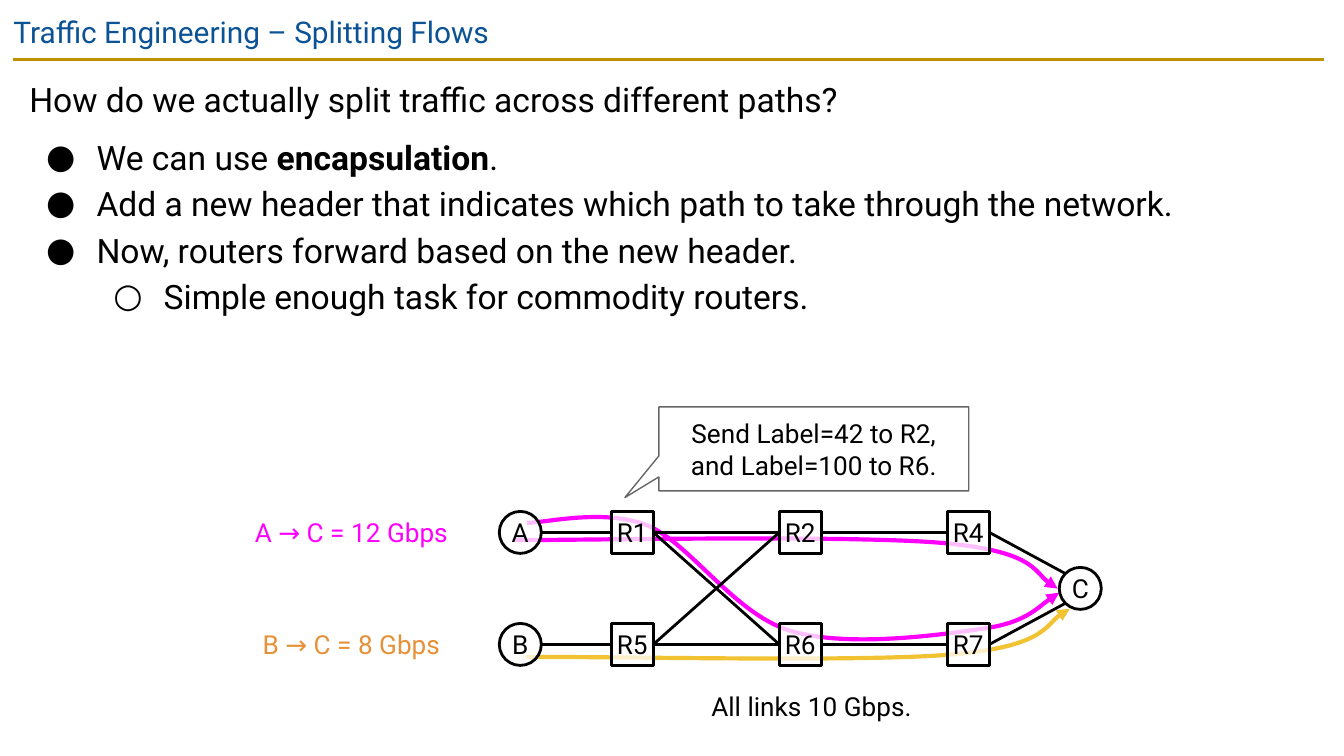
from dataclasses import dataclass

from lxml import etree
from pptx import Presentation
from pptx.dml.color import RGBColor
from pptx.enum.shapes import MSO_CONNECTOR, MSO_SHAPE
from pptx.enum.text import MSO_ANCHOR, MSO_AUTO_SIZE, PP_ALIGN
from pptx.oxml.ns import qn
from pptx.util import Pt

STRAIGHT = MSO_CONNECTOR.STRAIGHT
RECT, OVAL = MSO_SHAPE.RECTANGLE, MSO_SHAPE.OVAL
CALLOUT = MSO_SHAPE.ROUNDED_RECTANGULAR_CALLOUT
LEFT, CENTER = PP_ALIGN.LEFT, PP_ALIGN.CENTER
TOP, MIDDLE = MSO_ANCHOR.TOP, MSO_ANCHOR.MIDDLE


@dataclass(frozen=True)
class Theme:
    font: str = "Roboto"
    title_size: float = 16
    body_size: float = 18
    label_size: float = 14
    ink: str = "000000"
    paper: str = "FFFFFF"
    heading: str = "0B5394"
    rule: str = "BF9000"
    callout_edge: str = "666666"
    flow_a: str = "FF00FF"
    flow_b: str = "F1C232"
    label_b: str = "E69138"


THEME = Theme()

# Network layout in points, relative to the diagram's top left corner
NODE = 22.5
ROUTERS = {"R1": (60, 0), "R2": (150, 0), "R4": (240, 0),
           "R5": (60, 60), "R6": (150, 60), "R7": (240, 60)}
HOSTS = {"A": (0, 0), "B": (0, 60), "C": (300, 30)}
POSITIONS = ROUTERS | HOSTS
LINKS = [("A", "R1"), ("B", "R5"), ("R1", "R2"), ("R1", "R6"), ("R5", "R2"),
         ("R5", "R6"), ("R2", "R4"), ("R6", "R7"), ("R4", "C"), ("R7", "C")]

# Each flow is a start point followed by triples of Bézier points
FLOW_A_LOWER = [(14.7, 6.1), (25.5, 6.1), (55.8, -1.8), (79.5, 7.5),
                (102.6, 17.6), (125.6, 54.3), (155.1, 63.7),
                (184.7, 73), (232.9, 66.6), (257.4, 63),
                (281.1, 60.1), (293.4, 47.1), (299.9, 43.5)]
FLOW_A_UPPER = [(8.3, 15.4), (46.4, 15.4), (188.3, 12.6), (237.2, 16.9),
                (285.5, 21.2), (289.1, 37), (299.1, 41.4)]
FLOW_B = [(14, 78.1), (52.2, 77.4), (194.7, 81), (243, 76.6),
          (291.2, 72.3), (294.8, 56.5), (305.6, 52.2)]


def rgb(color):
    return RGBColor.from_string(color)


def place(shape, x, y, width, height):
    shape.left, shape.top = Pt(x), Pt(y)
    shape.width, shape.height = Pt(width), Pt(height)


def write(paragraph, text, size=THEME.label_size, color=THEME.ink,
          bold=False, align=CENTER):
    run = paragraph.add_run()
    run.text = text
    run.font.name, run.font.size, run.font.bold = THEME.font, Pt(size), bold
    run.font.color.rgb = rgb(color)
    paragraph.alignment = align


def set_frame(frame, inset=0, anchor=MIDDLE, auto_size=MSO_AUTO_SIZE.NONE):
    frame.word_wrap = True
    frame.auto_size = auto_size
    frame.vertical_anchor = anchor
    frame.margin_left = frame.margin_right = Pt(inset)
    frame.margin_top = frame.margin_bottom = Pt(inset)


def set_bullet(paragraph, char, margin, hanging):
    props = paragraph._p.get_or_add_pPr()
    props.set("marL", str(Pt(margin)))
    props.set("indent", str(Pt(-hanging)))
    if char:
        bullet_color = etree.SubElement(props, qn("a:buClr"))
        etree.SubElement(bullet_color, qn("a:srgbClr"), val=THEME.ink)
        etree.SubElement(props, qn("a:buFont"), typeface=THEME.font)
        etree.SubElement(props, qn("a:buChar"), char=char)
    else:
        etree.SubElement(props, qn("a:buNone"))


def add_line(slide, start, end, color):
    line = slide.shapes.add_connector(STRAIGHT, *map(Pt, start + end))
    line.line.color.rgb, line.line.width = rgb(color), Pt(1.5)
    etree.SubElement(line.element.spPr, qn("a:effectLst"))


def add_flow(slide, x, y, points, color):
    start, *rest = [(Pt(x + dx), Pt(y + dy)) for dx, dy in points]
    builder = slide.shapes.build_freeform(*start)
    builder.add_line_segments(rest, close=False)
    flow = builder.convert_to_shape()
    flow.shadow.inherit = False
    flow.fill.background()
    flow.line.color.rgb, flow.line.width = rgb(color), Pt(2.25)
    # Turn every three straight steps into one cubic curve
    path = next(flow.element.iter(qn("a:path")))
    steps = path.findall(qn("a:lnTo"))
    for first in range(0, len(steps), 3):
        curve = etree.SubElement(path, qn("a:cubicBezTo"))
        for step in steps[first:first + 3]:
            curve.append(step[0])
            path.remove(step)
    etree.SubElement(flow.line._get_or_add_ln(), qn("a:tailEnd"), type="triangle")


def add_node(slide, x, y, name):
    kind = OVAL if name in HOSTS else RECT
    dx, dy = POSITIONS[name]
    node = slide.shapes.add_shape(kind, Pt(x + dx), Pt(y + dy), Pt(NODE), Pt(NODE))
    node.shadow.inherit = False
    node.fill.solid()
    node.fill.fore_color.rgb = rgb(THEME.paper)
    fill_color = node.element.spPr.find(qn("a:solidFill"))[0]
    etree.SubElement(fill_color, qn("a:alpha"), val="75000")
    node.line.color.rgb, node.line.width = rgb(THEME.ink), Pt(1.5)
    set_frame(node.text_frame)
    write(node.text_frame.paragraphs[0], name)


def add_label(slide, x, y, text, color=THEME.ink):
    label = slide.shapes.add_textbox(Pt(x), Pt(y), Pt(114.5), Pt(17.25))
    set_frame(label.text_frame, anchor=TOP, auto_size=MSO_AUTO_SIZE.SHAPE_TO_FIT_TEXT)
    write(label.text_frame.paragraphs[0], text, color=color)


def add_heading(slide, x, y, width, height):
    title = slide.shapes.title
    place(title, x, y, width, height)
    set_frame(title.text_frame, inset=7.2, anchor=TOP)
    write(title.text_frame.paragraphs[0], "Traffic Engineering – Splitting Flows",
          size=THEME.title_size, color=THEME.heading, align=LEFT)
    add_line(slide, (x + 7.2, y + 32), (x + width - 10.8, y + 32), THEME.rule)


def add_explanation(slide, x, y, width, height):
    body = slide.placeholders[1]
    place(body, x, y, width, height)
    frame = body.text_frame
    set_frame(frame, inset=7.2, anchor=TOP)
    # Bullet, level, space before, text parts (every second part is bold)
    items = [
        ("", 0, 6, ["How do we actually split traffic across different paths?"]),
        ("●", 0, 6, ["We can use ", "encapsulation", "."]),
        ("●", 0, 0, ["Add a new header that indicates which path to take through the network."]),
        ("●", 0, 0, ["Now, routers forward based on the new header."]),
        ("○", 1, 0, ["Simple enough task for commodity routers."]),
    ]
    for index, (char, level, before, parts) in enumerate(items):
        item = frame.add_paragraph() if index else frame.paragraphs[0]
        item.level = level
        item.line_spacing, item.space_before, item.space_after = 1.15, Pt(before), Pt(0)
        for position, part in enumerate(parts):
            write(item, part, size=THEME.body_size, bold=position % 2 == 1, align=LEFT)
        set_bullet(item, char, 36 * (level + 1) if char else 0, 27 if char else 0)


def add_network(slide, x, y):
    for points in (FLOW_A_LOWER, FLOW_A_UPPER):
        add_flow(slide, x, y, points, THEME.flow_a)
    # Links run from a right edge to a left edge, or to the rim of host C
    rim = NODE * 0.15
    for source, target in LINKS:
        (x1, y1), (x2, y2) = POSITIONS[source], POSITIONS[target]
        start = (x + x1 + NODE, y + y1 + NODE / 2)
        end = (x + x2, y + y2 + NODE / 2)
        if target == "C":
            end = (x + x2 + rim, y + y2 + (rim if y1 < y2 else NODE - rim))
        add_line(slide, start, end, THEME.ink)
    add_flow(slide, x, y, FLOW_B, THEME.flow_b)
    for name in POSITIONS:
        add_node(slide, x, y, name)
    # Demands and link capacity
    add_label(slide, x - 136.5, y + 2.5, "A → C = 12 Gbps", THEME.flow_a)
    add_label(slide, x - 136.5, y + 62.5, "B → C = 8 Gbps", THEME.label_b)
    add_label(slide, x + 110, y + 96, "All links 10 Gbps.")


def add_rule_callout(slide, x, y, width, height):
    callout = slide.shapes.add_shape(CALLOUT, Pt(x), Pt(y), Pt(width), Pt(height))
    for index, value in enumerate((-0.61, 0.58, 0)):
        callout.adjustments[index] = value
    callout.shadow.inherit = False
    callout.fill.background()
    callout.line.color.rgb, callout.line.width = rgb(THEME.callout_edge), Pt(0.75)
    set_frame(callout.text_frame, inset=7.2)
    write(callout.text_frame.paragraphs[0], "Send Label=42 to R2, and Label=100 to R6.")


def main():
    deck = Presentation()
    deck.slide_width, deck.slide_height = Pt(720), Pt(405)
    slide = deck.slides.add_slide(deck.slide_layouts[1])
    add_heading(slide, 0, 0, 720, 31)
    add_explanation(slide, 8.5, 32, 701.5, 170.5)
    add_network(slide, 267.5, 274)
    add_rule_callout(slide, 353, 218, 166, 45)
    deck.save("out.pptx")


if __name__ == "__main__":
    main()
